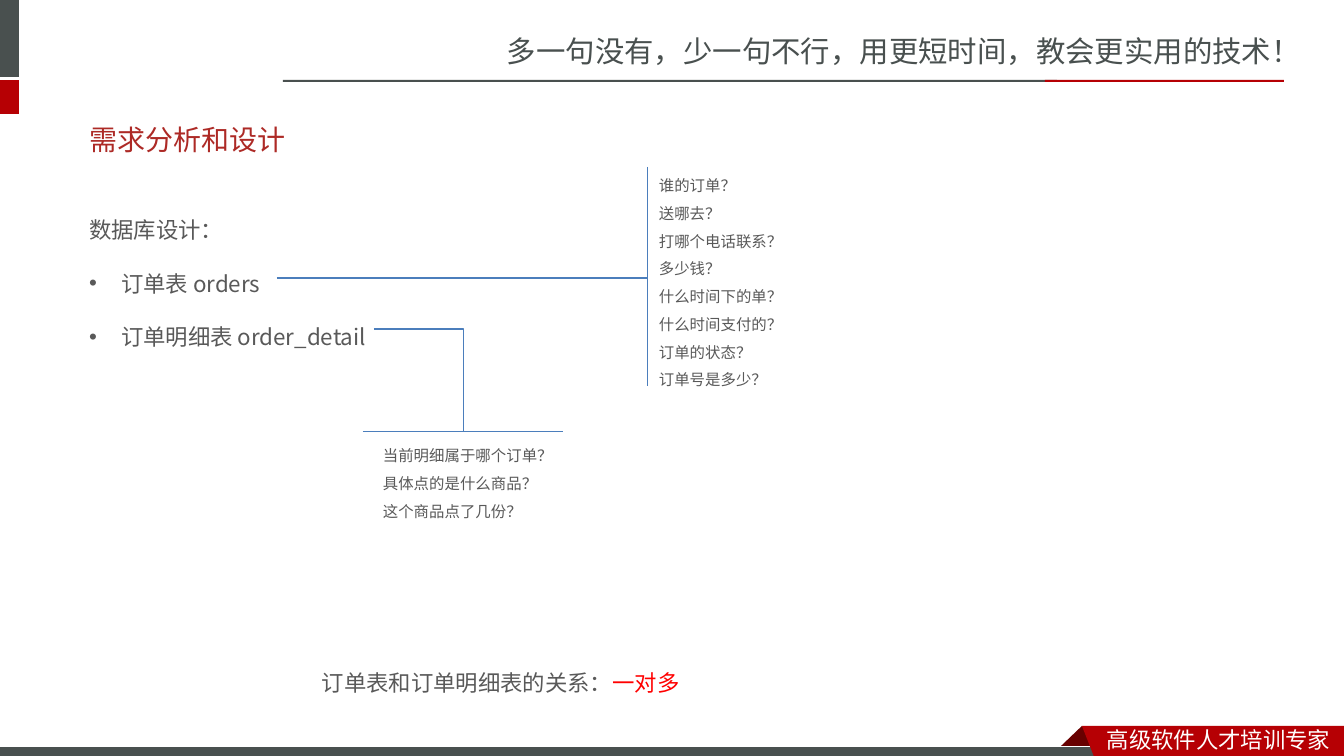
from dataclasses import dataclass

from lxml import etree
from pptx import Presentation
from pptx.dml.color import RGBColor
from pptx.enum.shapes import MSO_CONNECTOR, MSO_SHAPE
from pptx.enum.text import MSO_ANCHOR, MSO_AUTO_SIZE, PP_ALIGN
from pptx.oxml.ns import qn
from pptx.util import Emu, Pt

RECT = MSO_SHAPE.RECTANGLE
LINE, ELBOW = MSO_CONNECTOR.STRAIGHT, MSO_CONNECTOR.ELBOW
TOP, MIDDLE = MSO_ANCHOR.TOP, MSO_ANCHOR.MIDDLE
LEFT = PP_ALIGN.LEFT
FIXED = MSO_AUTO_SIZE.NONE

PX = 914400 / 100.8


@dataclass(frozen=True)
class Theme:
    gray: str = "49504F"
    red: str = "B60004"
    fold: str = "680000"
    white: str = "FFFFFF"
    title: str = "AD2A26"
    text: str = "595959"
    mark: str = "FF0000"
    link: str = "4B7EBC"
    motto: int = 21
    head: int = 20
    body: int = 16
    note: int = 11
    hair: float = 0.75
    cjk: str = "Noto Sans CJK SC"
    list_font: str = "Noto Sans CJK JP"
    head_font: str = "Arial"
    note_font: str = "Calibri"


T = Theme()


def px(n):
    return Emu(round(n * PX))


def rgb(code):
    return RGBColor.from_string(code)


def apply(obj, form):
    for key, val in form.items():
        setattr(obj, key, val)


def place(shape, box):
    apply(shape, dict(zip(("left", "top", "width", "height"), map(px, box))))


def paint(shape, color, edge=None):
    shape.shadow.inherit = False
    shape.fill.solid()
    shape.fill.fore_color.rgb = rgb(color)
    if edge:
        shape.line.color.rgb = rgb(edge)
        shape.line.width = Pt(T.hair)
    else:
        shape.line.fill.background()


def bar(slide, box, color, edge=None):
    paint(slide.shapes.add_shape(RECT, *map(px, box)), color, edge)


def outline(slide, points, color):
    build = slide.shapes.build_freeform(*points[0], scale=PX)
    build.add_line_segments(points[1:], close=True)
    paint(build.convert_to_shape(), color)


def link(slide, start, end, kind=LINE):
    wire = slide.shapes.add_connector(kind, *map(px, start + end))
    wire.line.color.rgb = rgb(T.link)
    wire.line.width = Pt(T.hair)
    props = wire.element.spPr
    etree.SubElement(props, qn("a:effectLst"))
    if kind == ELBOW:  # a single bend: across, then down
        props.find(qn("a:prstGeom")).set("prst", "bentConnector2")


def write(shape, lines, size, font, color, gap=1.0, anchor=TOP):
    """Each line is a list of (text, colour or None) runs."""
    frame = shape.text_frame
    apply(frame, {"word_wrap": True, "auto_size": FIXED,
                  "vertical_anchor": anchor})
    for i, runs in enumerate(lines):
        para = frame.add_paragraph() if i else frame.paragraphs[0]
        apply(para, {"alignment": LEFT, "line_spacing": gap,
                     "space_before": Pt(0), "space_after": Pt(0)})
        for text, tint in runs:
            run = para.add_run()
            run.text = text
            apply(run.font, {"size": Pt(size), "name": font, "bold": False})
            run.font.color.rgb = rgb(tint or color)
            east = etree.SubElement(run.font._element, qn("a:ea"))
            east.set("typeface", T.cjk)


def plain(*texts):
    return [[(text, None)] for text in texts]


def label(slide, box, lines, *style, **more):
    write(slide.shapes.add_textbox(*map(px, box)), lines, *style, **more)


def bullet(para, char):
    """Set the bullet of a paragraph, or remove it when char is empty."""
    props = para._p.get_or_add_pPr()
    dent = px(32) if char else 0
    props.set("marL", str(dent))
    props.set("indent", str(-dent))
    if char:
        etree.SubElement(props, qn("a:buFont")).set("typeface", "Arial")
        etree.SubElement(props, qn("a:buChar")).set("char", char)
    else:
        etree.SubElement(props, qn("a:buNone"))


def frame_page(slide):
    # Side marks and header rule
    bar(slide, (-6, 0, 25, 77), T.gray)
    bar(slide, (-6, 80, 25, 34), T.red)
    bar(slide, (283, 80, 774, 2), T.gray)
    bar(slide, (1045, 80, 239, 2), T.red)
    label(slide, (497, 28, 848, 47),
          plain("多一句没有，少一句不行，用更短时间，教会更实用的技术！"),
          T.motto, T.cjk, T.gray)
    # Footer ribbon
    outline(slide, [(1082, 726), (1104, 748), (1103, 749), (1060, 749),
                    (1059, 748)], T.fold)
    bar(slide, (-1, 747, 1109, 12), T.gray, T.white)
    outline(slide, [(1082, 726), (1344, 726), (1344, 760), (1095, 759)],
            T.red)
    label(slide, (1097, 721, 247, 37), plain("高级软件人才培训专家"),
          T.body, T.cjk, T.white)


def main():
    deck = Presentation()
    apply(deck, {"slide_width": px(1344), "slide_height": px(756)})
    slide = deck.slides.add_slide(deck.slide_layouts[1])
    frame_page(slide)

    # Title and list of tables
    title, body = slide.placeholders
    place(title, (79, 111, 1179, 57))
    write(title, plain("需求分析和设计"), T.head, T.head_font, T.title,
          anchor=MIDDLE)
    place(body, (79, 184, 1172, 165))
    write(body, plain("数据库设计：", "订单表 orders", "订单明细表 order_detail"),
          T.body, T.list_font, T.text, gap=2.0)
    for para, char in zip(body.text_frame.paragraphs, ("", "•", "•")):
        bullet(para, char)

    # Questions behind the orders table
    link(slide, (277, 278), (648, 278))
    link(slide, (648, 167), (648, 386))
    label(slide, (649, 162, 160, 261),
          plain("谁的订单？", "送哪去？", "打哪个电话联系？", "多少钱？",
                "什么时间下的单？", "什么时间支付的？", "订单的状态？",
                "订单号是多少？"),
          T.note, T.note_font, T.text, gap=1.5)

    # Questions behind the detail table
    link(slide, (374, 329), (464, 432), ELBOW)
    link(slide, (363, 432), (563, 432))
    label(slide, (373, 432, 200, 121),
          plain("当前明细属于哪个订单？", "具体点的是什么商品？",
                "这个商品点了几份？"),
          T.note, T.note_font, T.text, gap=1.5)

    # Relation of the two tables
    label(slide, (312, 664, 400, 37),
          [[("订单表和订单明细表的关系：", None), ("一对多", T.mark)]],
          T.body, T.note_font, T.text)

    deck.save("out.pptx")


if __name__ == "__main__":
    main()
